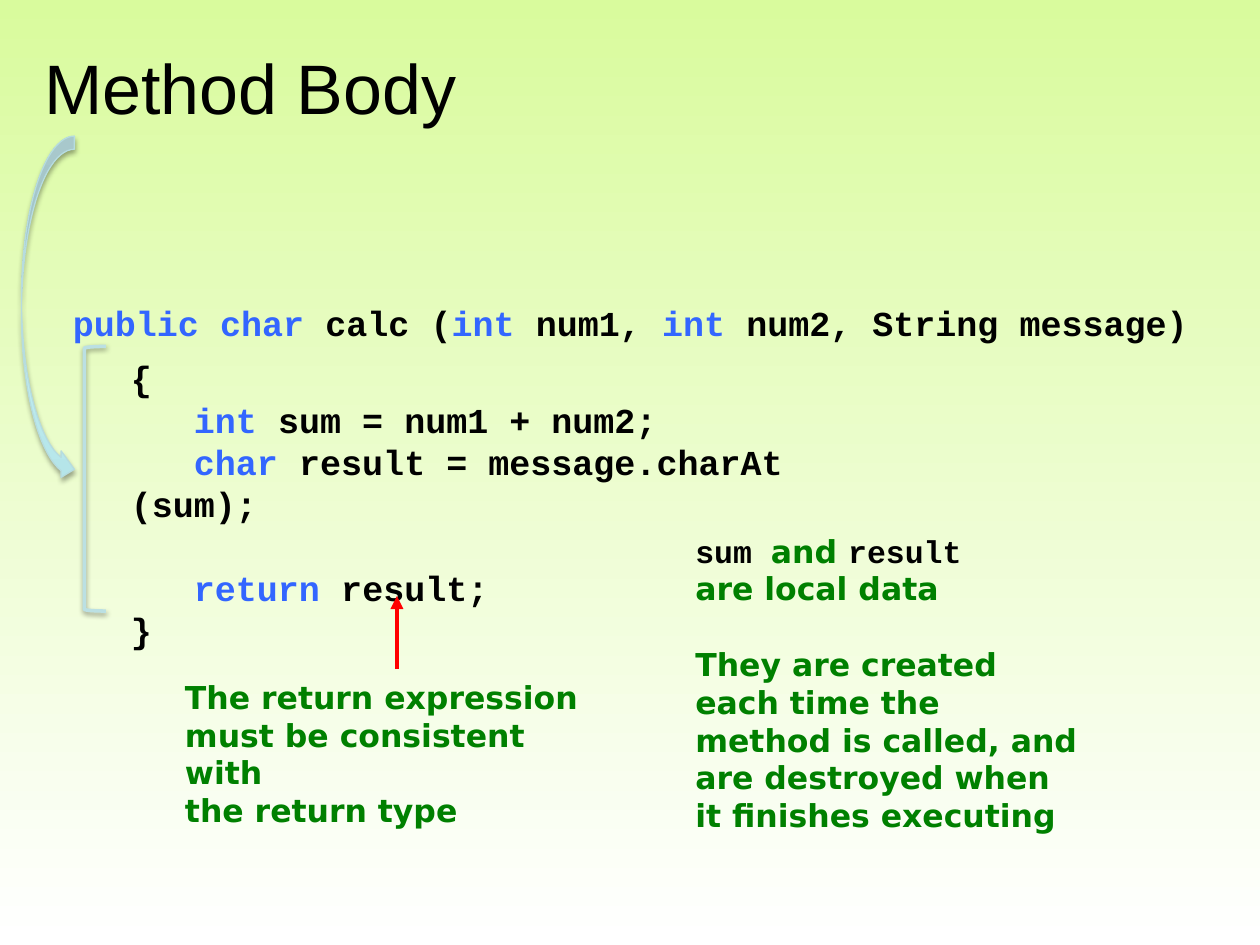
import pptx
import pptx.dml.color
import pptx.enum.shapes
import pptx.enum.text
import pptx.oxml
import pptx.oxml.ns
import pptx.util
from pptx.util import Inches

COLORS = {
    "text": "000000", "keyword": "3366FF", "note": "008000", "pointer": "FF0000",
    "sky": "D9FB9D", "ground": "FFFFFF", "arrow_start": "B5E5E9",
    "arrow_end": "D3FBFF", "arrow_edge": "B6DCDF", "bracket": "BBE0E3",
}
CODE_FONT, NOTE_FONT = "Courier New", "DejaVu Sans"
SHAPES = pptx.enum.shapes.MSO_SHAPE


def color(name):
    """Return the named colour."""
    return pptx.dml.color.RGBColor.from_string(COLORS[name])


def add_span(para, text, *, size, font, fill="text", bold=True):
    """Add one formatted run to a paragraph."""
    span = para.add_run()
    span.text = text
    span.font.size = pptx.util.Pt(size)
    span.font.name = font
    span.font.bold = bold
    span.font.color.rgb = color(fill)


def add_lines(page, bounds, lines, *, size, gap_before=None):
    """Add a text box of (text, font, colour) lines, with one line-high gap."""
    box = page.shapes.add_textbox(*map(Inches, bounds))
    frame = box.text_frame
    frame.word_wrap = True
    pitch = pptx.util.Pt(size * 1.2)
    for index, spans in enumerate(lines):
        para = frame.add_paragraph() if index else frame.paragraphs[0]
        para.line_spacing = pitch
        if index == gap_before:
            para.space_before = pitch
        for text, font, fill in spans:
            add_span(para, text, size=size, font=font, fill=fill)


def code(text, fill="text"):
    """Return a code span."""
    return text, CODE_FONT, fill


def note(text):
    """Return a note span."""
    return text, NOTE_FONT, "note"


def fill_gradient(fill, angle, names):
    """Fill with a linear gradient between two named colours."""
    fill.gradient()
    fill.gradient_angle = angle
    for stop, name in zip(fill.gradient_stops, names):
        stop.color.rgb = color(name)


def add_shadow(shape, *, alpha, distance):
    """Give a shape a soft black shadow below it."""
    shape.shadow.inherit = False
    effects = shape._element.spPr.find(pptx.oxml.ns.qn("a:effectLst"))
    effects.append(pptx.oxml.parse_xml(
        f'<a:outerShdw {pptx.oxml.ns.nsdecls("a")} blurRad="{pptx.util.Pt(3.1)}" '
        f'dist="{pptx.util.Pt(distance)}" dir="5400000" rotWithShape="0">'
        f'<a:srgbClr val="000000"><a:alpha val="{alpha * 1000}"/></a:srgbClr>'
        '</a:outerShdw>'))


def add_title(page, bounds):
    """Place the slide title."""
    title = page.shapes.title
    title.left, title.top, title.width, title.height = map(Inches, bounds)
    title.text_frame.vertical_anchor = pptx.enum.text.MSO_ANCHOR.MIDDLE
    para = title.text_frame.paragraphs[0]
    para.alignment = pptx.enum.text.PP_ALIGN.LEFT
    add_span(para, "Method Body", size=40, font="Arial", bold=False)


def add_signature(page, bounds):
    """Place the method header."""
    add_lines(page, bounds, [[
        code("public char ", "keyword"), code("calc ("),
        code("int ", "keyword"), code("num1, "),
        code("int ", "keyword"), code("num2, String message)"),
    ]], size=20)


def add_body(page, bounds):
    """Place the method body."""
    add_lines(page, bounds, [
        [code("{")],
        [code("   int ", "keyword"), code("sum = num1 + num2;")],
        [code("   char ", "keyword"), code("result = message.charAt (sum);")],
        [code("   return ", "keyword"), code("result;")],
        [code("}")],
    ], size=20, gap_before=3)


def add_return_note(page, bounds):
    """Place the note on the return expression."""
    add_lines(page, bounds, [
        [note("The return expression")],
        [note("must be consistent with")],
        [note("the return type")],
    ], size=18)


def add_local_note(page, bounds):
    """Place the note on local data."""
    add_lines(page, bounds, [
        [code("sum "), note("and "), code("result")],
        [note("are local data")],
        [note("They are created each time the method is called, "
              "and are destroyed when it finishes executing")],
    ], size=18, gap_before=2)


def add_pointer(page, ends):
    """Draw the arrow from the note to the return line."""
    pointer = page.shapes.add_connector(
        pptx.enum.shapes.MSO_CONNECTOR.STRAIGHT, *map(Inches, ends))
    pointer.line.color.rgb = color("pointer")
    pointer.line.width = pptx.util.Pt(2.5)
    namespace = pptx.oxml.ns.nsdecls("a")
    pointer.line._get_or_add_ln().append(
        pptx.oxml.parse_xml(f'<a:tailEnd {namespace} type="triangle"/>'))
    pointer._element.spPr.append(pptx.oxml.parse_xml(f"<a:effectLst {namespace}/>"))


def add_curved_arrow(page, bounds):
    """Draw the curved arrow that leads to the body."""
    arrow = page.shapes.add_shape(SHAPES.CURVED_RIGHT_ARROW, *map(Inches, bounds))
    fill_gradient(arrow.fill, 90, ("arrow_start", "arrow_end"))
    arrow.line.color.rgb = color("arrow_edge")
    arrow.line.width = pptx.util.Pt(0.75)
    add_shadow(arrow, alpha=35, distance=1.8)


def add_bracket(page, bounds):
    """Draw the bracket around the body."""
    bracket = page.shapes.add_shape(SHAPES.LEFT_BRACKET, *map(Inches, bounds))
    bracket.fill.background()
    bracket.line.color.rgb = color("bracket")
    bracket.line.width = pptx.util.Pt(2)
    add_shadow(bracket, alpha=38, distance=1.6)


def main():
    """Build and save the deck."""
    deck = pptx.Presentation()
    deck.slide_width, deck.slide_height = Inches(10), Inches(7.5)
    page = deck.slides.add_slide(deck.slide_layouts.get_by_name("Title Only"))
    fill_gradient(page.background.fill, 270, ("sky", "ground"))
    add_title(page, (0.25, 0.3, 9.5, 0.78))
    add_signature(page, (0.48, 2.34, 9.12, 0.44))
    add_body(page, (0.94, 2.78, 6.3, 2.1))
    add_return_note(page, (1.37, 5.33, 3.5, 1))
    add_pointer(page, (3.15, 5.31, 3.15, 4.73))
    add_local_note(page, (5.42, 4.17, 3.25, 2.8))
    add_curved_arrow(page, (0.17, 1.08, 0.42, 2.75))
    add_bracket(page, (0.67, 2.75, 0.17, 2.1))
    deck.save("out.pptx")


if __name__ == "__main__":
    main()
